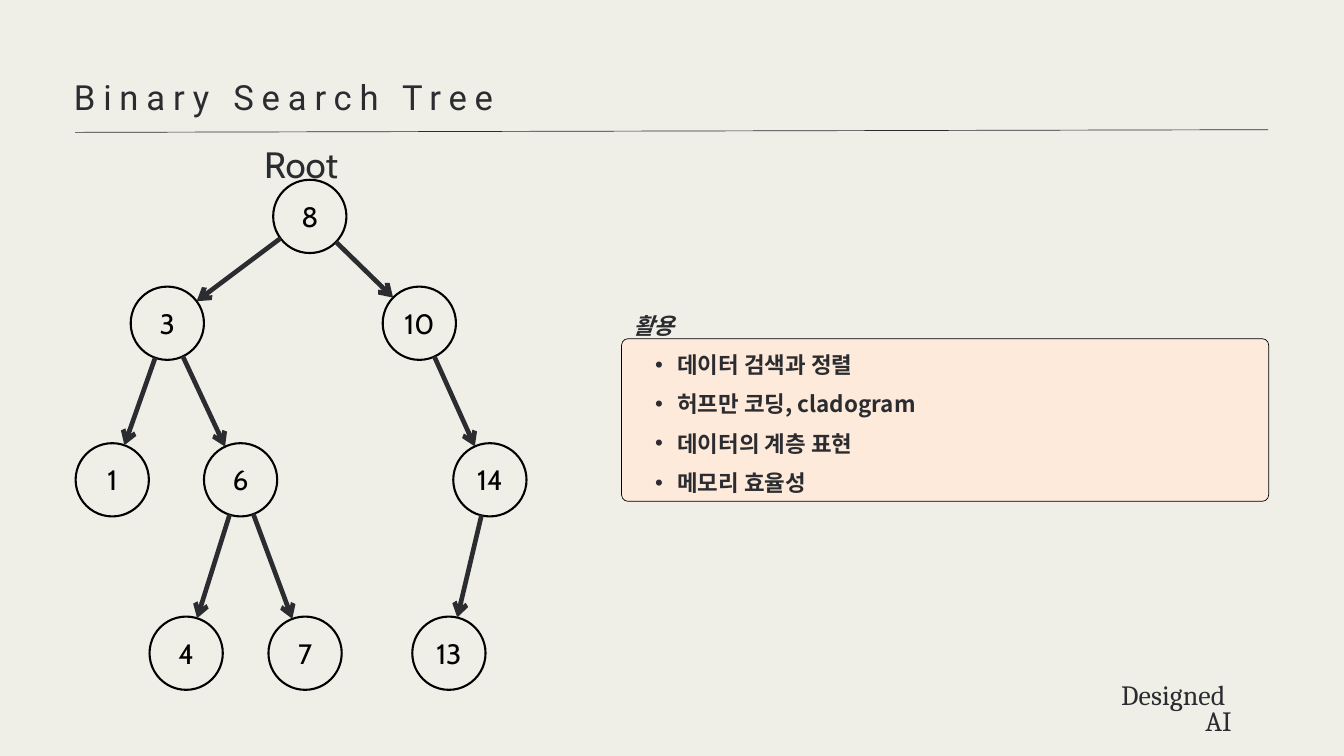
"""Build a slide that shows a binary search tree and its uses."""
from math import hypot

from pptx import Presentation
from pptx.dml.color import RGBColor
from pptx.enum.shapes import MSO_CONNECTOR, MSO_SHAPE
from pptx.enum.text import MSO_ANCHOR, MSO_AUTO_SIZE, PP_ALIGN
from pptx.oxml.ns import qn
from pptx.oxml.xmlchemy import OxmlElement
from pptx.util import Inches, Pt

BACKGROUND = RGBColor(0xEF, 0xEE, 0xE7)
INK = RGBColor(0x2B, 0x2C, 0x30)
BLACK = RGBColor(0, 0, 0)
PEACH = RGBColor(0xFD, 0xEA, 0xDA)

TITLE = "Binary Search Tree"
ROOT_LABEL = "Root"
USES_HEADING = "활용"
USES = ["데이터 검색과 정렬", "허프만 코딩, cladogram", "데이터의 계층 표현", "메모리 효율성"]
SIGNATURE = ["Designed ", "AI"]

DIAMETER = 1.09
LEVELS = [3.22, 4.81, 7.14, 9.72]
NODES = {
    8: (4.61, 0),
    3: (2.49, 1), 10: (6.24, 1),
    1: (1.67, 2), 6: (3.58, 2), 14: (7.29, 2),
    4: (2.77, 3), 7: (4.54, 3), 13: (6.68, 3),
}
EDGES = [(8, 3), (8, 10), (3, 1), (3, 6), (10, 14), (6, 4), (6, 7), (14, 13)]


def add_child(parent, tag, **attributes):
    child = OxmlElement(tag)
    for name, value in attributes.items():
        child.set(name, value)
    parent.append(child)
    return child


def set_frame(shape, anchor=MSO_ANCHOR.TOP, bottom=0):
    frame = shape.text_frame
    frame.word_wrap = True
    frame.auto_size = MSO_AUTO_SIZE.NONE
    frame.vertical_anchor = anchor
    frame.margin_left = frame.margin_right = frame.margin_top = 0
    frame.margin_bottom = Inches(bottom)
    return frame


def format_paragraph(paragraph, font_name, size, spacing, color=INK,
                     align=PP_ALIGN.LEFT, tracking=0, bold=False, italic=False):
    paragraph.alignment = align
    paragraph.line_spacing = Pt(spacing)
    paragraph.space_before = Pt(0)
    font = paragraph.font
    font.name, font.size, font.bold, font.italic = font_name, Pt(size), bold, italic
    font.color.rgb = color
    properties = paragraph._p.pPr.find(qn("a:defRPr"))
    add_child(properties, "a:ea", typeface=font_name)
    if tracking:
        properties.set("spc", str(round(tracking * 100)))


def add_text(slide, box, lines, **style):
    frame = set_frame(slide.shapes.add_textbox(*map(Inches, box)))
    for index, line in enumerate(lines):
        paragraph = frame.paragraphs[0] if index == 0 else frame.add_paragraph()
        paragraph.text = line
        format_paragraph(paragraph, **style)


def add_line(slide, start, end, width, arrow=False):
    connector = slide.shapes.add_connector(
        MSO_CONNECTOR.STRAIGHT, *map(Inches, (*start, *end)))
    connector.line.color.rgb = INK
    connector.line.width = Pt(width)
    if arrow:
        add_child(connector.line._get_or_add_ln(), "a:tailEnd", type="arrow")
    add_child(connector._element.spPr, "a:effectLst")


def add_title(slide):
    title = slide.shapes.title
    title.left, title.top, title.width, title.height = map(Inches, (1.1, 1.03, 17.75, 0.73))
    title.text = TITLE
    paragraph = set_frame(title).paragraphs[0]
    format_paragraph(paragraph, "Roboto", 37.1, 52, tracking=8.4)
    add_line(slide, (1.12, 1.97), (18.87, 1.93), 0.75)


def add_uses(slide):
    panel = slide.shapes.add_shape(
        MSO_SHAPE.ROUNDED_RECTANGLE, *map(Inches, (9.25, 5.04, 9.63, 2.42)))
    panel.adjustments[0] = 0.04
    panel.shadow.inherit = False
    panel.fill.solid()
    panel.fill.fore_color.rgb = PEACH
    panel.line.color.rgb = BLACK
    panel.line.width = Pt(0.75)

    box = slide.shapes.add_textbox(*map(Inches, (9.42, 4.46, 9.65, 4.12)))
    frame = set_frame(box)
    heading = frame.paragraphs[0]
    heading.text = USES_HEADING
    format_paragraph(heading, "Noto Sans CJK KR", 24, 42, bold=True, italic=True)
    for use in USES:
        paragraph = frame.add_paragraph()
        paragraph.text = use
        paragraph.level = 1
        properties = paragraph._p.get_or_add_pPr()
        properties.set("marL", str(Inches(0.66)))
        properties.set("indent", str(Inches(-0.33)))
        add_child(properties, "a:buFont", typeface="Arial")
        add_child(properties, "a:buChar", char="•")
        format_paragraph(paragraph, "Noto Sans CJK KR", 24, 42, bold=True)


def add_node(slide, value, center):
    left, top = (position - DIAMETER / 2 for position in center)
    node = slide.shapes.add_shape(
        MSO_SHAPE.OVAL, *map(Inches, (left, top, DIAMETER, DIAMETER)))
    node.shadow.inherit = False
    node.fill.background()
    node.line.color.rgb = BLACK
    node.line.width = Pt(2.25)
    paragraph = set_frame(node, MSO_ANCHOR.MIDDLE, bottom=0.13).paragraphs[0]
    paragraph.text = str(value)
    format_paragraph(paragraph, "Cabin", 30, 45, BLACK, PP_ALIGN.CENTER)


def add_tree(slide):
    centers = {value: (x, LEVELS[level]) for value, (x, level) in NODES.items()}
    for value, center in centers.items():
        add_node(slide, value, center)
    for parent, child in EDGES:
        (x1, y1), (x2, y2) = centers[parent], centers[child]
        share = DIAMETER / 2 / hypot(x2 - x1, y2 - y1)
        dx, dy = (x2 - x1) * share, (y2 - y1) * share
        add_line(slide, (x1 + dx, y1 + dy), (x2 - dx, y2 - dy), 5, arrow=True)
    add_text(slide, (3.27, 1.95, 2.42, 0.75), [ROOT_LABEL], font_name="Cabin",
             size=39.2, spacing=58.9, align=PP_ALIGN.CENTER)


def main():
    presentation = Presentation()
    presentation.slide_width, presentation.slide_height = Inches(20), Inches(11.25)
    slide = presentation.slides.add_slide(presentation.slide_layouts[5])
    slide.background.fill.solid()
    slide.background.fill.fore_color.rgb = BACKGROUND
    add_title(slide)
    add_uses(slide)
    add_tree(slide)
    add_text(slide, (16, 10.21, 2.33, 0.76), SIGNATURE, font_name="Cambria",
             size=29.9, spacing=27.2, align=PP_ALIGN.RIGHT, tracking=0.1)
    presentation.save("out.pptx")


if __name__ == "__main__":
    main()
